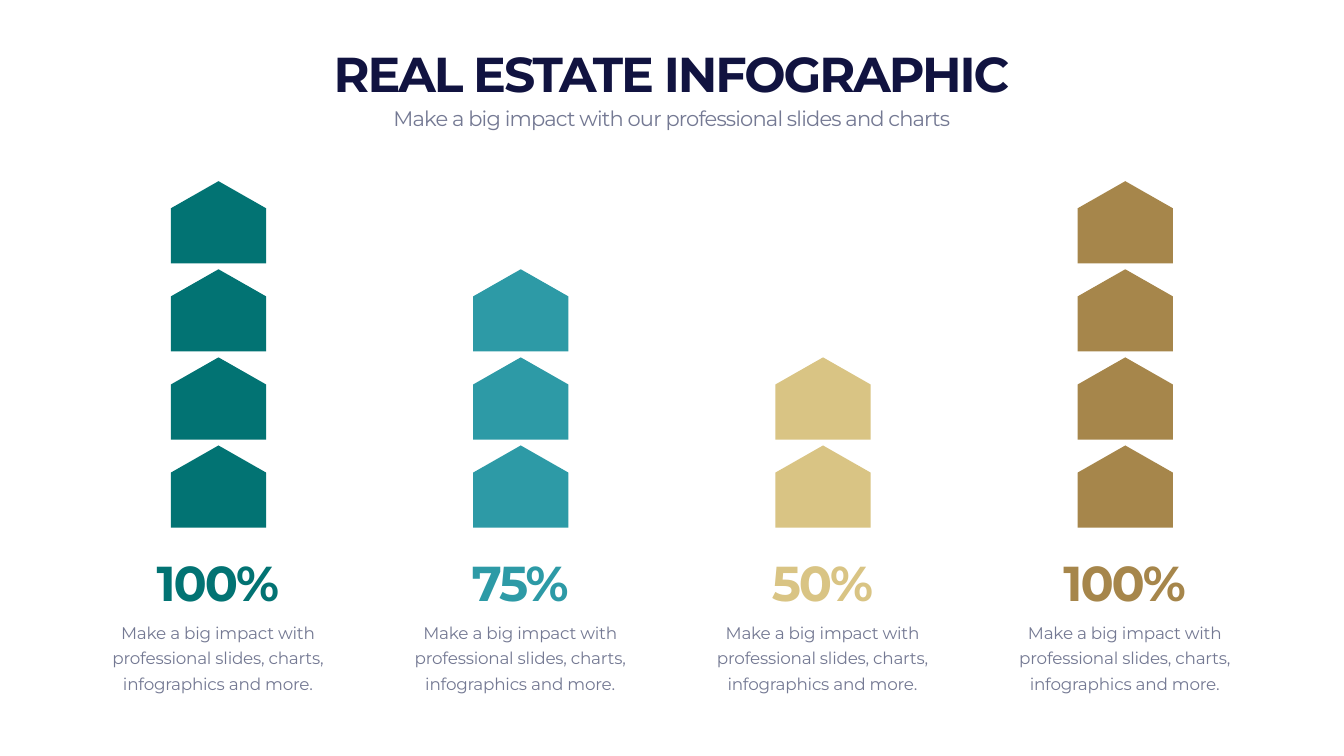
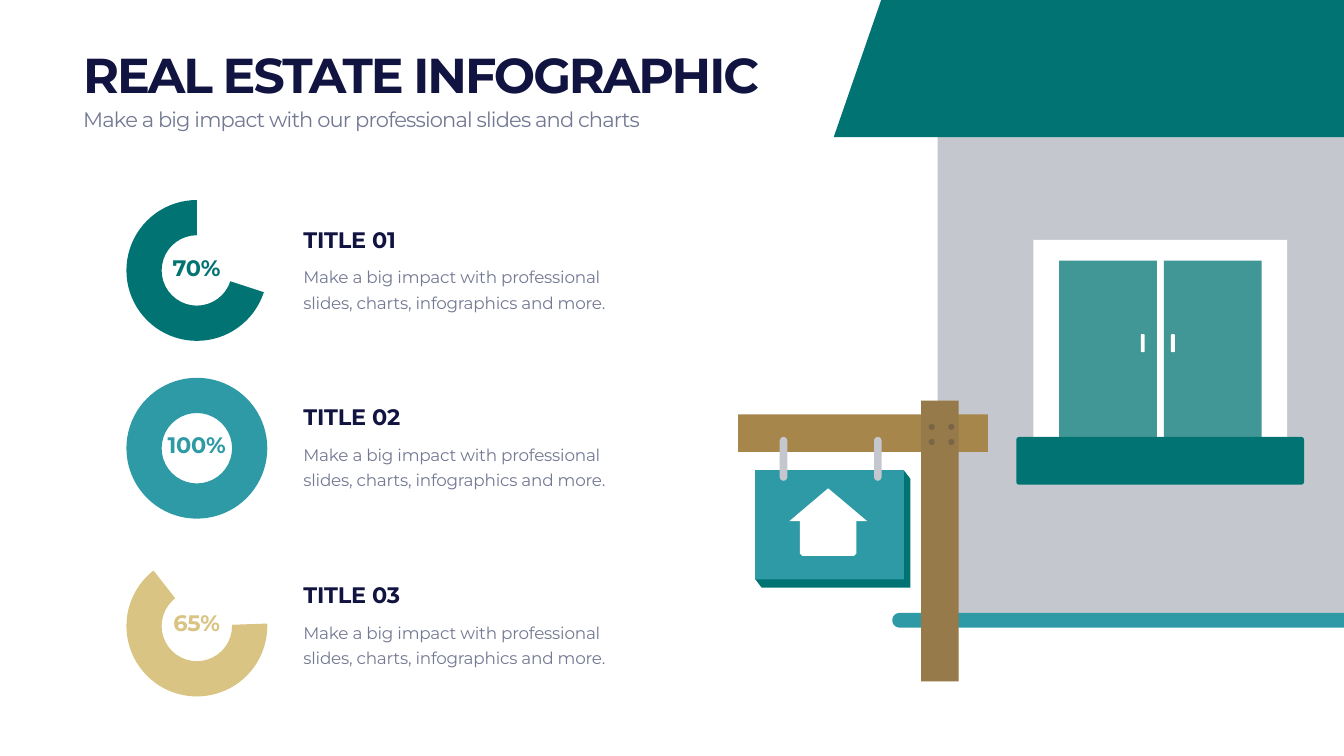
from math import cos, pi, sin

from lxml.etree import SubElement
from pptx import Presentation
from pptx.chart.data import CategoryChartData
from pptx.dml.color import RGBColor
from pptx.enum.chart import XL_CHART_TYPE
from pptx.enum.shapes import MSO_SHAPE
from pptx.enum.text import MSO_ANCHOR, MSO_AUTO_SIZE, PP_ALIGN
from pptx.oxml.ns import qn
from pptx.util import Cm, Pt

NAVY = RGBColor(0x11, 0x13, 0x40)
SLATE = RGBColor(0x74, 0x79, 0x93)
GREEN = RGBColor(0x02, 0x73, 0x73)
TEAL = RGBColor(0x2D, 0x9A, 0xA6)
SAND = RGBColor(0xD9, 0xC4, 0x84)
BRONZE = RGBColor(0xA6, 0x86, 0x4B)
GREY = RGBColor(0xC4, 0xC8, 0xCE)
WHITE = RGBColor(0xFF, 0xFF, 0xFF)

LEFT, CENTER = PP_ALIGN.LEFT, PP_ALIGN.CENTER
TOP, MIDDLE, BOTTOM = MSO_ANCHOR.TOP, MSO_ANCHOR.MIDDLE, MSO_ANCHOR.BOTTOM
FIT_SHAPE = MSO_AUTO_SIZE.SHAPE_TO_FIT_TEXT
RECTANGLE = MSO_SHAPE.RECTANGLE
ROUNDED = MSO_SHAPE.ROUNDED_RECTANGLE
OVAL = MSO_SHAPE.OVAL
HOUSE = MSO_SHAPE.PENTAGON
DOUGHNUT = XL_CHART_TYPE.DOUGHNUT

FONT = "Montserrat"
TITLE = "REAL ESTATE INFOGRAPHIC"
SUBTITLE = "Make a big impact with our professional slides and charts"
BODY = "Make a big impact with professional slides, charts, infographics and more."
SLIDE_WIDTH, SLIDE_HEIGHT = 67.72, 38.1


class Deck:
    """Holds the shared style and draws on the current slide, in centimetres."""

    def __init__(self):
        self.presentation = Presentation()
        self.presentation.slide_width = Cm(SLIDE_WIDTH)
        self.presentation.slide_height = Cm(SLIDE_HEIGHT)
        self.slide = None

    def add_slide(self):
        self.slide = self.presentation.slides.add_slide(self.presentation.slide_layouts[6])
        fill = self.slide.background.fill
        fill.solid()
        fill.fore_color.rgb = WHITE

    def paint(self, shape, color, opacity=100):
        shape.shadow.inherit = False
        shape.fill.solid()
        shape.fill.fore_color.rgb = color
        shape.line.fill.background()
        if opacity < 100:
            rgb = next(shape._element.iter(qn("a:srgbClr")))
            SubElement(rgb, qn("a:alpha")).set("val", str(opacity * 1000))

    def shape(self, kind, left, top, width, height, color, opacity=100, adjustment=None):
        shape = self.slide.shapes.add_shape(kind, Cm(left), Cm(top), Cm(width), Cm(height))
        if adjustment is not None:
            shape.adjustments[0] = adjustment
        self.paint(shape, color, opacity)
        return shape

    def polygon(self, points, color):
        start, *others = [(Cm(x), Cm(y)) for x, y in points]
        builder = self.slide.shapes.build_freeform(*start)
        builder.add_line_segments(others)
        self.paint(builder.convert_to_shape(), color)

    def text(self, words, left, top, width, height, size, color, bold=False,
             tracking=-0.3, align=LEFT, anchor=TOP, line_spacing=None):
        box = self.slide.shapes.add_textbox(Cm(left), Cm(top), Cm(width), Cm(height))
        frame = box.text_frame
        frame.word_wrap = True
        frame.auto_size = FIT_SHAPE
        frame.vertical_anchor = anchor
        paragraph = frame.paragraphs[0]
        paragraph.alignment = align
        if line_spacing:
            paragraph.line_spacing = Pt(line_spacing)
        run = paragraph.add_run()
        run.text = words
        run.font.name = FONT
        run.font.size = Pt(size)
        run.font.bold = bold
        run.font.color.rgb = color
        run._r.get_or_add_rPr().set("spc", str(round(tracking * 100)))

    def headline(self, words, left, top, width, color, align):
        self.text(words, left, top, width, 3.25, 70, color, True, -2.9, align, BOTTOM)

    def heading(self, left, top, width, align):
        self.headline(TITLE, left, top, width, NAVY, align)
        self.text(SUBTITLE, left, top + 3.16, width, 1.55, 30, SLATE, tracking=-1.2, align=align)

    def body(self, left, top, width, height, align=LEFT):
        self.text(BODY, left, top, width, height, 24, SLATE, align=align, line_spacing=36)

    def doughnut(self, left, top, percent, start_angle, color):
        data = CategoryChartData()
        data.categories = ["1", "2"]
        data.add_series("Series 1", (percent, 100 - percent))
        chart = self.slide.shapes.add_chart(
            DOUGHNUT, Cm(left), Cm(top), Cm(8.2), Cm(7.8), data).chart
        chart.has_legend = False
        chart.has_title = False
        chart.font.name = "Calibri"
        chart.font.size = Pt(10)
        chart.font.color.rgb = SLATE
        plot = chart.plots[0]
        plot.vary_by_categories = True
        points = plot.series[0].points
        for index in range(2):
            points[index].format.line.fill.background()
        points[0].format.fill.solid()
        points[0].format.fill.fore_color.rgb = color
        points[1].format.fill.background()
        for tag, value in (("c:firstSliceAng", start_angle), ("c:holeSize", 76)):
            next(chart._chartSpace.iter(qn(tag))).set("val", str(value))


def draw_house_columns(deck):
    deck.add_slide()
    deck.heading(4.22, 2.03, 59.26, CENTER)
    columns = [(4, GREEN), (3, TEAL), (2, SAND), (4, BRONZE)]
    for column, (houses, color) in enumerate(columns):
        left = 5 + column * 15.23
        for level in range(houses):
            house = deck.shape(HOUSE, left + 3.94, 22.12 - level * 4.44, 4.14, 4.8, color,
                               adjustment=0.33)
            house.rotation = 270
        deck.headline(f"{houses * 25}%", left, 27.66, 11.96, color, CENTER)
        deck.body(left, 31.01, 11.96, 3.99, CENTER)


def draw_building(deck):
    deck.shape(RECTANGLE, 47.24, 6.91, 20.48, 23.98, GREY)
    deck.shape(RECTANGLE, 52.07, 12.09, 12.78, 11.73, WHITE)
    for pane_left in (53.37, 58.65):
        deck.shape(RECTANGLE, pane_left, 13.13, 4.92, 9.31, GREEN, opacity=75)
    deck.shape(ROUNDED, 51.21, 22.02, 14.5, 2.41, GREEN, adjustment=0.06)
    deck.polygon([(44.4, 0), (SLIDE_WIDTH, 0), (SLIDE_WIDTH, 6.91), (42.01, 6.91)], GREEN)
    for handle_left in (57.48, 59):
        deck.shape(ROUNDED, handle_left, 16.84, 0.2, 0.91, WHITE, adjustment=0.3)
    radius, steps = 0.37, 16
    angles = [pi * step / steps for step in range(steps + 1)]
    rounded_end = [(45.33 - radius * sin(angle), 31.26 - radius * cos(angle)) for angle in angles]
    deck.polygon(rounded_end + [(SLIDE_WIDTH, 31.63), (SLIDE_WIDTH, 30.89)], TEAL)


def draw_sign(deck):
    deck.shape(RECTANGLE, 37.19, 20.88, 12.59, 1.9, BRONZE)
    for color, opacity in ((BRONZE, 100), (NAVY, 10)):
        deck.shape(RECTANGLE, 46.41, 20.19, 1.9, 14.15, color, opacity)
    deck.polygon([(45.54, 23.7), (45.54, 24.13), (38.38, 24.13), (38.38, 29.18),
                  (38.05, 29.18), (38.38, 29.62), (45.87, 29.62), (45.87, 24.13)], GREEN)
    deck.shape(RECTANGLE, 38.05, 23.7, 7.49, 5.5, TEAL)
    deck.polygon([(43.69, 26.26), (41.73, 24.61), (39.78, 26.26), (40.31, 26.26),
                  (40.31, 27.9), (40.43, 28.02), (43.03, 28.02), (43.15, 27.9),
                  (43.15, 26.26)], WHITE)
    for hook_left in (39.29, 44.04):
        deck.shape(ROUNDED, hook_left, 22.02, 0.38, 2.21, GREY, adjustment=0.5)
    for bolt_top in (21.36, 22.12):
        for bolt_left in (46.79, 47.78):
            deck.shape(OVAL, bolt_left, bolt_top, 0.31, 0.31, NAVY, opacity=20)


def draw_doughnuts(deck):
    deck.add_slide()
    rows = [(70, 108, GREEN), (100, 0, TEAL), (65, 88, SAND)]
    tops = [9.73 + row * 8.96 for row in range(len(rows))]
    for top, (percent, start_angle, color) in zip(tops, rows):
        deck.doughnut(5.82, top, percent, start_angle, color)
    draw_building(deck)
    draw_sign(deck)
    deck.heading(3.94, 2.08, 37.54, LEFT)
    for number, (top, (percent, _, color)) in enumerate(zip(tops, rows), 1):
        deck.text(f"TITLE {number:02}", 15.04, top + 1.5, 17.32, 1.63, 32, NAVY, True,
                  anchor=BOTTOM)
        deck.body(15.04, top + 3.35, 17.32, 2.72)
        deck.text(f"{percent}%", 7.47, top + 2.92, 4.88, 1.63, 32, color, True,
                  align=CENTER, anchor=MIDDLE)


def main():
    deck = Deck()
    draw_house_columns(deck)
    draw_doughnuts(deck)
    deck.presentation.save("out.pptx")


if __name__ == "__main__":
    main()
